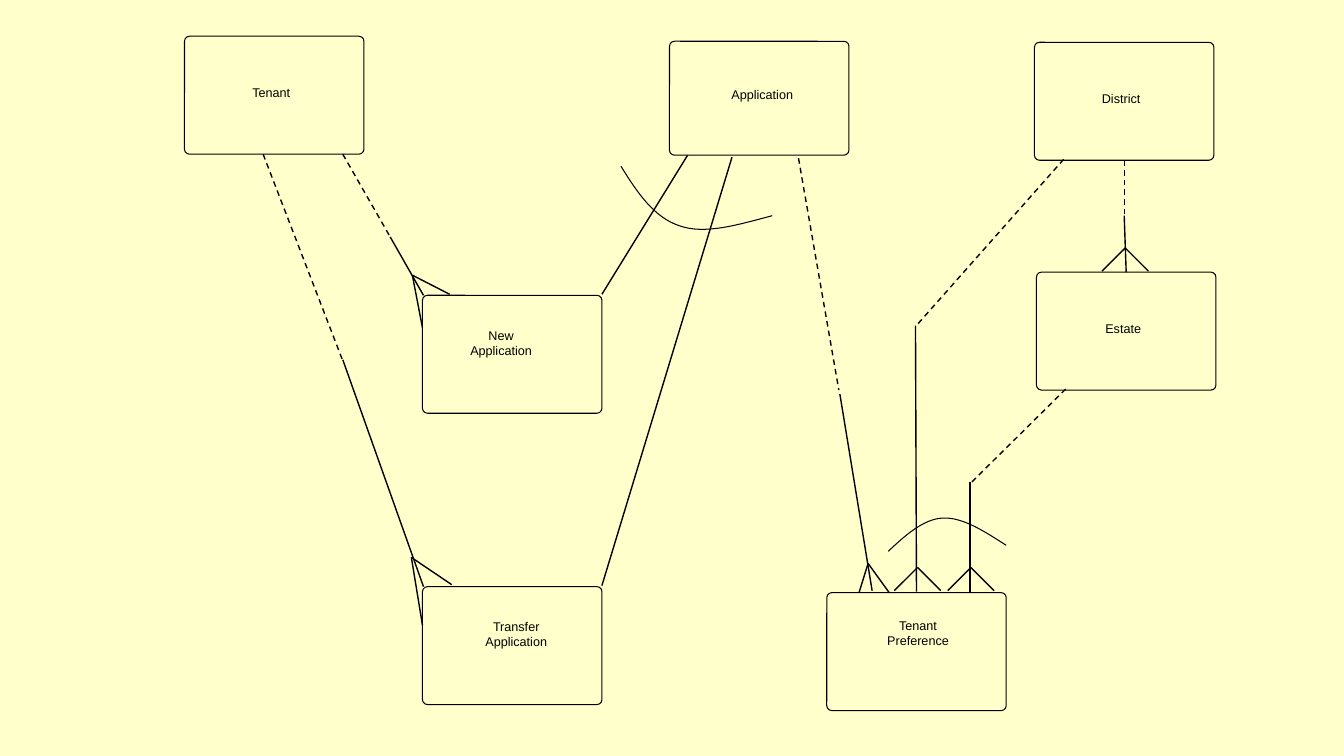
from lxml.etree import SubElement
from pptx import Presentation
from pptx.dml.color import RGBColor
from pptx.enum.dml import MSO_LINE
from pptx.enum.shapes import MSO_CONNECTOR, MSO_SHAPE
from pptx.enum.text import PP_ALIGN as Align
from pptx.oxml.ns import qn
from pptx.util import Pt

PX = 9144  # EMU, 100 px to the inch
CREAM = RGBColor(0xFF, 0xFF, 0xCC)
BLACK = RGBColor(0, 0, 0)
BOX_WIDTH, BOX_HEIGHT, CORNER = 178, 117, 5
BOTTOM, TOP = 2, 0

# name: box left, top, height, then label left, top, width, height
ENTITIES = {
    "Application": (664, 41, 113, 683, 86, 146, 23),
    "Tenant": (183, 36, BOX_HEIGHT, 214, 84, 110, 23),
    "New\nApplication": (419, 293, BOX_HEIGHT, 420, 325, 154, 47),
    "Transfer\nApplication": (419, 582, BOX_HEIGHT, 466, 614, 92, 47),
    "Tenant\nPreference": (820, 588, BOX_HEIGHT, 843, 613, 135, 47),
    "District": (1026, 42, BOX_HEIGHT, 1057, 90, 110, 23),
    "Estate": (1028, 270, BOX_HEIGHT, 1059, 318, 110, 23),
}
OPTIONAL_ENDS = [
    ((261, 153), (340, 358)),    # Tenant to Transfer Application
    ((340, 153), (387, 235)),    # Tenant to New Application
    ((792, 157), (832, 387)),    # Application to Tenant Preference
    ((1055, 158), (908, 324)),   # District to Tenant Preference
    ((1057, 386), (962, 480)),   # Estate to Tenant Preference
]
MANDATORY_ENDS = [
    ((340, 357), (420, 582)),
    ((387, 235), (420, 293)),
    ((833, 391), (865, 586)),
    ((908, 323), (909, 587)),
    ((962, 478), (962, 587)),
    ((682, 154), (597, 292)),    # Application to New Application
    ((726, 156), (597, 581)),    # Application to Transfer Application
]
CORNER_FEET = [  # tip, then the two toes
    ((409, 273), (446, 292), (419, 325)),
    ((408, 553), (448, 580), (419, 620)),
    ((861, 559), (882, 588), (852, 588)),
]
LEVEL_FEET = [(1116, 246), (963, 563), (910, 563)]
EXCLUSIVE_ARCS = [
    [(616, 165), (632, 191), (649, 216), (674, 224), (699, 233), (732, 223), (766, 214)],
    [(881, 547), (898, 531), (916, 515), (935, 514), (955, 513), (976, 527), (998, 541)],
]


class Diagram:
    def __init__(self, slide):
        self.shapes = slide.shapes
        fill = slide.background.fill
        fill.solid()
        fill.fore_color.rgb = CREAM

    def outline(self, item, weight, dashed=False):
        item.line.color.rgb = BLACK
        item.line.width = Pt(weight)
        if dashed:
            item.line.dash_style = MSO_LINE.DASH

    def box(self, left, top, height):
        entity = self.shapes.add_shape(
            MSO_SHAPE.ROUNDED_RECTANGLE,
            *(n * PX for n in (left, top, BOX_WIDTH, height)))
        entity.adjustments[0] = CORNER / height
        entity.shadow.inherit = False
        entity.fill.background()
        self.outline(entity, 0.75)
        return entity

    def text(self, words, left, top, width, height, size=9, font="Arial",
             color=BLACK, align=Align.CENTER):
        label = self.shapes.add_textbox(*(n * PX for n in (left, top, width, height)))
        frame = label.text_frame
        frame.word_wrap = True
        frame.margin_left = frame.margin_right = 0
        frame.margin_top = frame.margin_bottom = 0
        frame.text = words
        for paragraph in frame.paragraphs:
            paragraph.alignment = align
            style = paragraph.runs[0].font
            style.size, style.name = Pt(size), font
            style.color.rgb = color

    def line(self, start, end, dashed=False):
        link = self.shapes.add_connector(
            MSO_CONNECTOR.STRAIGHT, *(n * PX for n in start + end))
        self.outline(link, 1, dashed)
        SubElement(link._element.spPr, qn("a:effectLst"))
        return link

    def crow_foot(self, tip, *toes):
        for toe in toes:
            self.line(tip, toe)

    def arc(self, points):
        """Draw Bezier curves: a start, then two controls and an end for each."""
        builder = self.shapes.build_freeform(*points[0], scale=PX)
        builder.add_line_segments(points[1:], close=False)
        curve = builder.convert_to_shape()
        curve.shadow.inherit = False
        curve.fill.background()
        self.outline(curve, 0.75)
        geometry = next(curve._element.iter(qn("a:path")))
        segments = geometry.findall(qn("a:lnTo"))
        for first in range(0, len(segments), 3):
            bezier = SubElement(geometry, qn("a:cubicBezTo"))
            for segment in segments[first:first + 3]:
                bezier.append(segment[0])
                geometry.remove(segment)


def main():
    deck = Presentation()
    deck.slide_width, deck.slide_height = 1333 * PX, 750 * PX
    diagram = Diagram(deck.slides.add_slide(deck.slide_layouts[6]))

    boxes = {}
    for name, (left, top, height, *label) in ENTITIES.items():
        boxes[name] = diagram.box(left, top, height)
        diagram.text(name, *label)

    for start, end in OPTIONAL_ENDS:
        diagram.line(start, end, dashed=True)
    for start, end in MANDATORY_ENDS:
        diagram.line(start, end)
    district_end = diagram.line((1115, 159), (1115, 217), dashed=True)
    district_end.begin_connect(boxes["District"], BOTTOM)
    estate_end = diagram.line((1115, 214), (1115, 270))
    estate_end.end_connect(boxes["Estate"], TOP)

    for foot in CORNER_FEET:
        diagram.crow_foot(*foot)
    for x, y in LEVEL_FEET:
        diagram.crow_foot((x, y), (x - 23, y + 23), (x + 23, y + 23))
    for points in EXCLUSIVE_ARCS:
        diagram.arc(points)

    deck.save("out.pptx")


if __name__ == "__main__":
    main()
